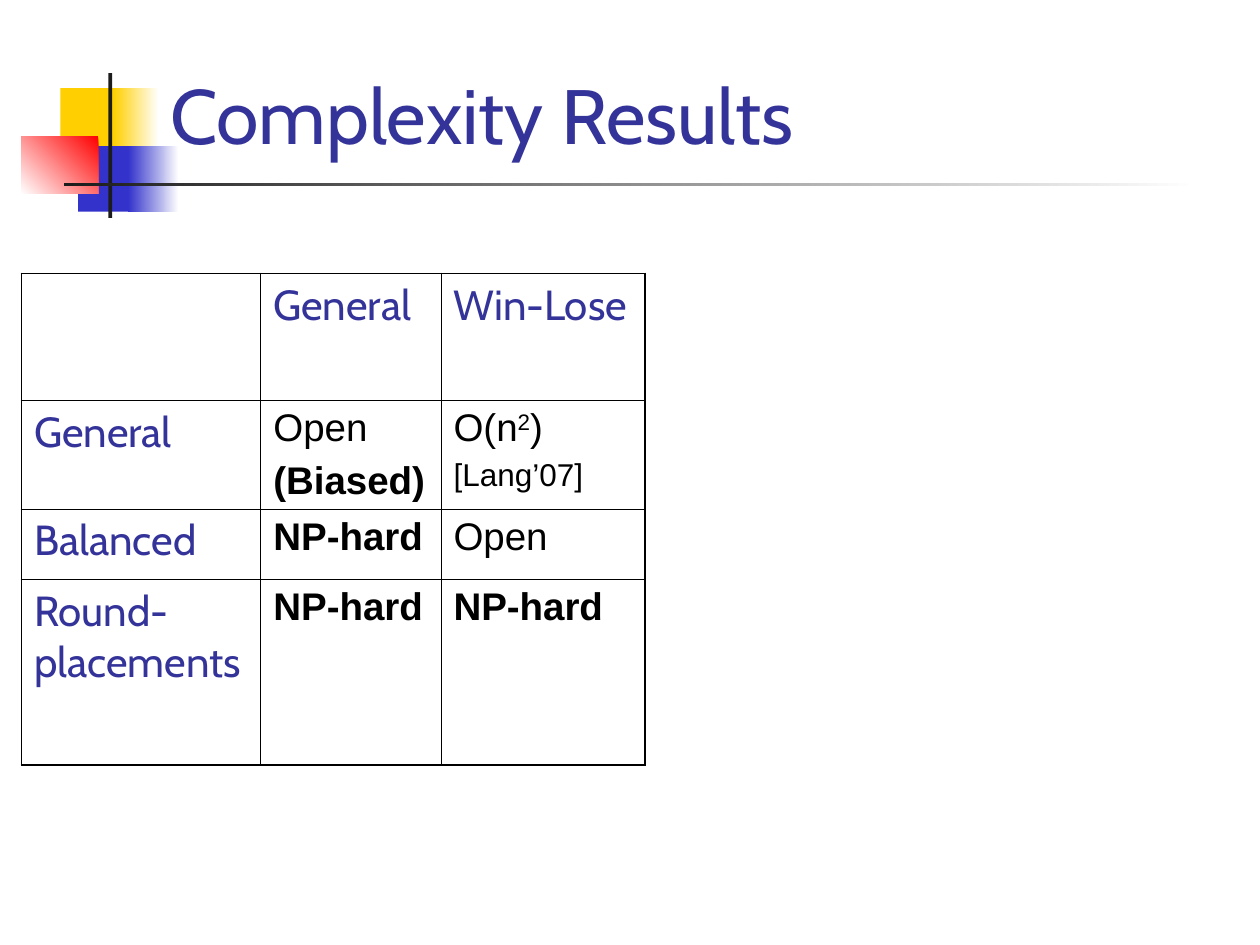
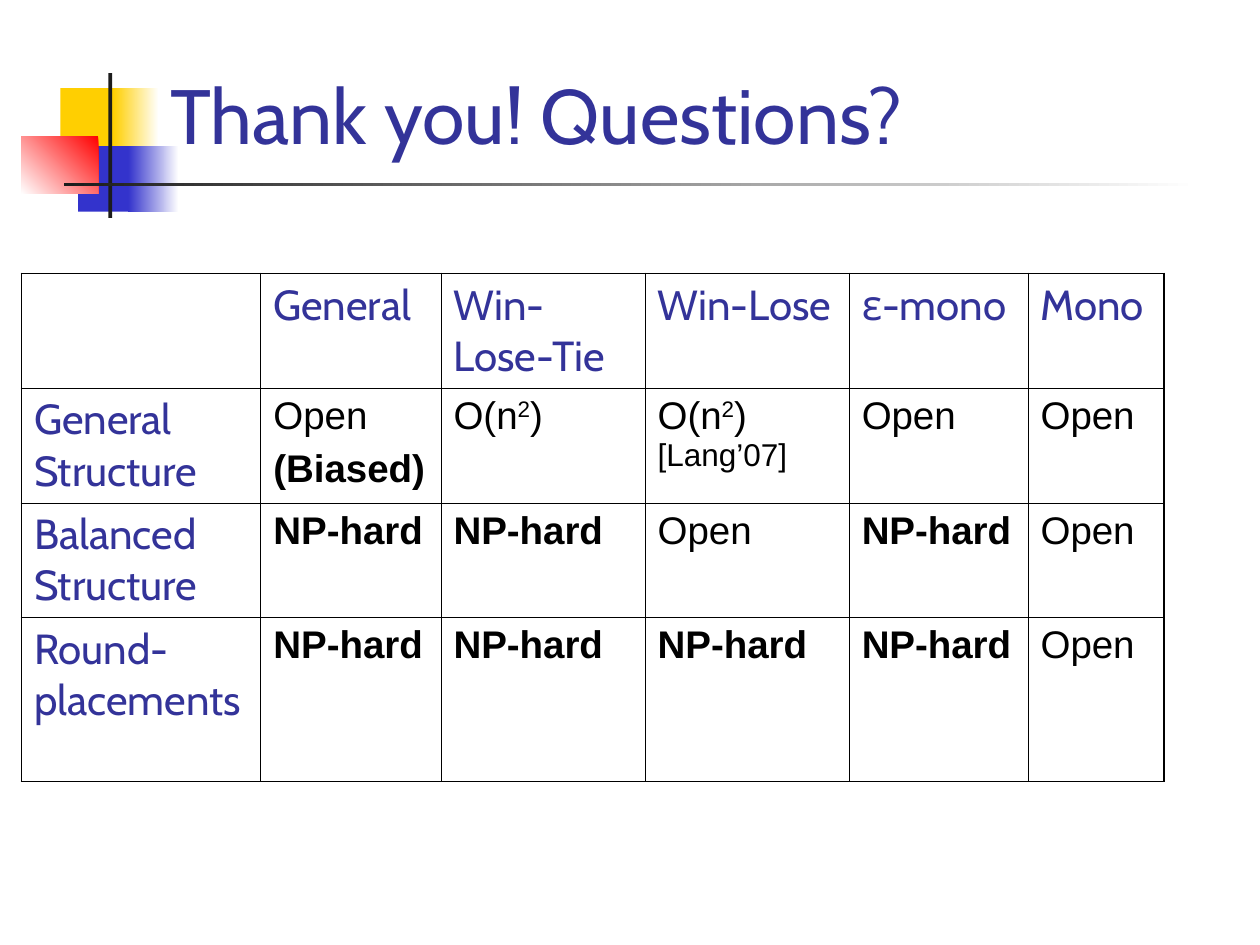
from dataclasses import dataclass

from lxml import etree
from pptx import Presentation
from pptx.dml.color import RGBColor
from pptx.enum.shapes import MSO_SHAPE
from pptx.enum.text import MSO_ANCHOR, MSO_AUTO_SIZE, PP_ALIGN
from pptx.oxml.ns import qn
from pptx.util import Inches, Pt

RECTANGLE = MSO_SHAPE.RECTANGLE
BOTTOM = MSO_ANCHOR.BOTTOM
NO_AUTOFIT = MSO_AUTO_SIZE.NONE
LEFT = PP_ALIGN.LEFT
TITLE_ONLY = 5


@dataclass(frozen=True)
class Theme:
    heading_color: str = "333399"
    body_color: str = "000000"
    border_color: str = "000000"
    white: str = "FFFFFF"
    yellow: str = "FFCF01"
    blue: str = "3333CC"
    red: str = "FF0000"
    dark: str = "1C1C1C"
    heading_font: str = "Cabin"
    body_font: str = "Arial"
    title_size: float = 44
    heading_size: float = 24
    body_size: float = 22
    citation_size: float = 18
    space_before: float = 0.25  # share of the type size
    outer_border: float = 1.08
    inner_border: float = 0.45


THEME = Theme()


@dataclass(frozen=True)
class TextRun:
    text: str
    size: float = THEME.body_size
    font: str = THEME.body_font
    color: str = THEME.body_color
    bold: bool = False
    superscript: bool = False


def heading(text, size=THEME.heading_size):
    return TextRun(text, size, THEME.heading_font, THEME.heading_color)


class Deck:
    def __init__(self, theme):
        self.theme = theme
        self.presentation = Presentation()
        self.presentation.slide_width = Inches(10)
        self.presentation.slide_height = Inches(7.5)
        self.slide = None

    def add_slide(self, title):
        layout = self.presentation.slide_layouts[TITLE_ONLY]
        self.slide = self.presentation.slides.add_slide(layout)
        self.add_ornament()
        self.add_title(title)

    def add_title(self, text):
        shape = self.slide.shapes.title
        shape.left, shape.top = Inches(1.25), Inches(0.33)
        shape.width, shape.height = Inches(8.52), Inches(0.99)
        frame = shape.text_frame
        frame.auto_size = NO_AUTOFIT
        frame.word_wrap = True
        frame.vertical_anchor = BOTTOM
        self.add_text(frame, [[heading(text, self.theme.title_size)]])
        # The title lies in front of the ornament.
        self.slide.shapes._spTree.append(shape._element)

    def add_ornament(self):
        theme = self.theme
        self.add_block(0.48, 0.7, 0.48, 0.52, theme.yellow)
        self.add_block(0.9, 0.7, 0.36, 0.52, theme.white, theme.yellow)
        self.add_block(0.62, 1.16, 0.46, 0.52, theme.blue)
        self.add_block(1.02, 1.16, 0.4, 0.52, theme.white, theme.blue)
        self.add_block(0.17, 1.08, 0.61, 0.46, theme.red, theme.white, 225)
        self.add_block(0.86, 0.58, 0.03, 1.15, theme.dark)
        self.add_block(0.51, 1.45, 9, 0.03, theme.white, theme.dark)

    def add_block(self, left, top, width, height, color, end_color=None, angle=180):
        """Add a rectangle, with a gradient if it has an end colour."""
        shape = self.slide.shapes.add_shape(
            RECTANGLE, Inches(left), Inches(top), Inches(width), Inches(height))
        shape.shadow.inherit = False
        shape.line.fill.background()
        if end_color is None:
            shape.fill.solid()
            shape.fill.fore_color.rgb = RGBColor.from_string(color)
            return
        shape.fill.gradient()
        shape.fill.gradient_angle = angle
        for stop, stop_color in zip(shape.fill.gradient_stops, (color, end_color)):
            stop.color.rgb = RGBColor.from_string(stop_color)

    def add_table(self, column_widths, row_heights, rows):
        table = self.slide.shapes.add_table(
            len(row_heights), len(column_widths), Inches(0.17), Inches(2.17),
            Inches(sum(column_widths)), Inches(sum(row_heights))).table
        table.first_row = table.horz_banding = False
        for column, width in zip(table.columns, column_widths):
            column.width = Inches(width)
        for row, height in zip(table.rows, row_heights):
            row.height = Inches(height)
        last_row, last_column = len(row_heights) - 1, len(column_widths) - 1
        for row_index, row in enumerate(rows):
            for column_index, paragraphs in enumerate(row):
                cell = table.cell(row_index, column_index)
                cell.fill.background()
                self.set_borders(cell, {
                    "L": column_index == 0, "R": column_index == last_column,
                    "T": row_index == 0, "B": row_index == last_row})
                self.add_text(cell.text_frame, paragraphs)

    def set_borders(self, cell, outer_sides):
        properties = cell._tc.get_or_add_tcPr()
        for index, (side, outer) in enumerate(outer_sides.items()):
            width = self.theme.outer_border if outer else self.theme.inner_border
            line = etree.Element(qn(f"a:ln{side}"), w=str(int(Pt(width))))
            fill = etree.SubElement(line, qn("a:solidFill"))
            etree.SubElement(fill, qn("a:srgbClr"), val=self.theme.border_color)
            properties.insert(index, line)

    def add_text(self, frame, paragraphs):
        for index, text_runs in enumerate(paragraphs):
            paragraph = frame.add_paragraph() if index else frame.paragraphs[0]
            paragraph.alignment = LEFT
            if index:
                paragraph.space_before = Pt(text_runs[0].size * self.theme.space_before)
            for text_run in text_runs:
                run = paragraph.add_run()
                run.text = text_run.text
                run.font.name = text_run.font
                run.font.size = Pt(text_run.size)
                run.font.bold = text_run.bold
                run.font.color.rgb = RGBColor.from_string(text_run.color)
                if text_run.superscript:
                    run._r.get_or_add_rPr().set("baseline", "30000")


def headings(*texts):
    return [[[heading(text)]] for text in texts]


# A cell is a list of paragraphs, and a paragraph is a list of runs.
EMPTY = []
OPEN = [[TextRun("Open")]]
OPEN_BIASED = OPEN + [[TextRun("(Biased)", bold=True)]]
NP_HARD = [[TextRun("NP-hard", bold=True)]]
SQUARE = [TextRun("O(n"), TextRun("2", superscript=True)]
QUADRATIC = [SQUARE + [TextRun(")")]]
CITATION = TextRun("[Lang’07]", THEME.citation_size)


def add_results(deck):
    deck.add_slide("Complexity Results")
    general, balanced, placements = headings("General", "Balanced", "Round-placements")
    deck.add_table([1.9, 1.43, 1.62], [1.01, 0.86, 0.56, 1.47], [
        [EMPTY, *headings("General", "Win-Lose")],
        [general, OPEN_BIASED, QUADRATIC + [[CITATION]]],
        [balanced, NP_HARD, OPEN],
        [placements, NP_HARD, NP_HARD],
    ])


def add_closing(deck):
    deck.add_slide("Thank you! Questions?")
    general, balanced, placements = headings(
        "General Structure", "Balanced Structure", "Round-placements")
    cited = [SQUARE + [TextRun(") "), CITATION]]
    deck.add_table([1.9, 1.43, 1.62, 1.62, 1.42, 1.08], [0.9, 0.91, 0.9, 1.3], [
        [EMPTY, *headings("General", "Win-Lose-Tie", "Win-Lose", "ε-mono", "Mono")],
        [general, OPEN_BIASED, QUADRATIC, cited, OPEN, OPEN],
        [balanced, NP_HARD, NP_HARD, OPEN, NP_HARD, OPEN],
        [placements, NP_HARD, NP_HARD, NP_HARD, NP_HARD, OPEN],
    ])


def main():
    deck = Deck(THEME)
    add_results(deck)
    add_closing(deck)
    deck.presentation.save("out.pptx")


if __name__ == "__main__":
    main()
